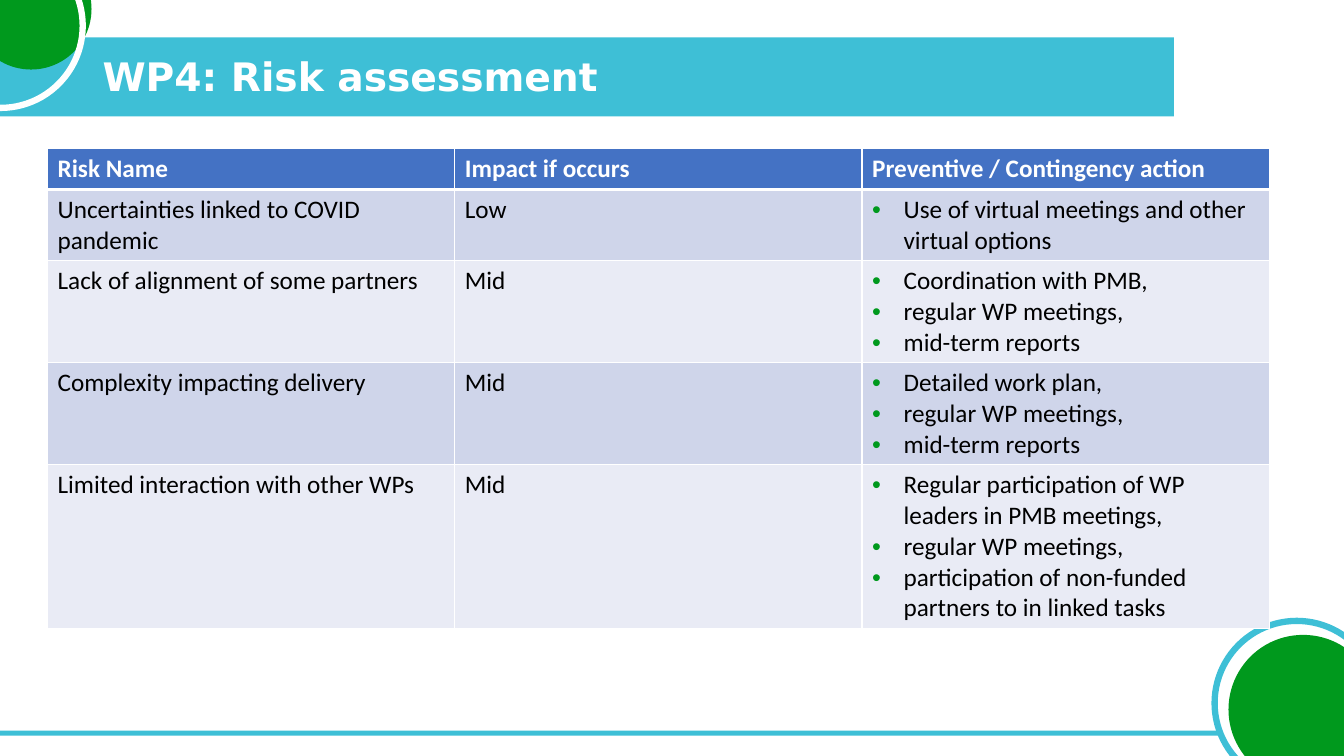
from dataclasses import dataclass

from lxml import etree
from pptx import Presentation
from pptx import util as u
from pptx.dml.color import RGBColor
from pptx.enum import shapes, text
from pptx.oxml import ns

Pt = u.Pt


@dataclass(frozen=True)
class Theme:
    """Colours, fonts and sizes of the deck."""
    teal: str = "3EBFD6"
    green: str = "00991D"
    white: str = "FFFFFF"
    ink: str = "000000"
    header: str = "4472C4"
    bands: tuple = ("CFD5EA", "E9EBF5")
    title_font: str = "DejaVu Sans"
    body_font: str = "Calibri"
    title_size: float = 28
    body_size: float = 18
    line_pitch: float = 21.9
    cell_padding: float = 7.2
    bullet_indent: float = 22.5
    ring_width: float = 4.5
    rule: float = 1
    header_rule: float = 3


def apply(target, values):
    """Set each attribute named in a dict of format values."""
    for name, value in values.items():
        setattr(target, name, value)


def add_xml(parent, tag, **attributes):
    """Append a DrawingML element and return it."""
    return etree.SubElement(parent, ns.qn(tag), attributes)


class SlideBuilder:
    """Draws styled elements on the current slide."""

    def __init__(self, slide, theme):
        """Keep the slide and its theme."""
        self.slide, self.theme = slide, theme

    def shape(self, preset, box, fill=None, line=None):
        """Add a preset shape with an optional fill or outline."""
        item = self.slide.shapes.add_shape(preset, *map(Pt, box))
        item.shadow.inherit = False
        if fill:
            item.fill.solid()
            item.fill.fore_color.rgb = RGBColor.from_string(fill)
        else:
            item.fill.background()
        if line:
            item.line.color.rgb = RGBColor.from_string(line)
            item.line.width = Pt(self.theme.ring_width)
        else:
            item.line.fill.background()

    def bar(self, box):
        """Add a teal band."""
        self.shape(shapes.MSO_SHAPE.RECTANGLE, box, self.theme.teal)

    def circle(self, left, top, size, **colours):
        """Add a disc or a ring."""
        self.shape(shapes.MSO_SHAPE.OVAL, (left, top, size, size), **colours)

    def styled_run(self, paragraph, words, font, size, colour, bold):
        """Put one formatted run in a paragraph."""
        run = paragraph.add_run()
        run.text = words
        apply(run.font, {"name": font, "size": Pt(size), "bold": bold})
        run.font.color.rgb = RGBColor.from_string(colour)

    def title(self, words, box):
        """Add the slide heading."""
        theme = self.theme
        frame = self.slide.shapes.add_textbox(*map(Pt, box)).text_frame
        apply(frame, {"word_wrap": True,
                      "vertical_anchor": text.MSO_ANCHOR.MIDDLE})
        heading = frame.paragraphs[0]
        heading.line_spacing = 0.9
        self.styled_run(heading, words, theme.title_font, theme.title_size,
                        theme.white, True)

    def bullet(self, paragraph):
        """Give a paragraph a green bullet and a hanging indent."""
        indent = Pt(self.theme.bullet_indent)
        properties = paragraph._p.get_or_add_pPr()
        properties.set("marL", str(indent))
        properties.set("indent", str(-indent))
        colour = add_xml(properties, "a:buClr")
        add_xml(colour, "a:srgbClr", val=self.theme.green)
        add_xml(properties, "a:buFont", typeface="Arial")
        add_xml(properties, "a:buChar", char="•")

    def borders(self, cell, top, bottom):
        """Draw white rules round a cell."""
        rule = self.theme.rule
        properties = cell._tc.get_or_add_tcPr()
        widths = {"a:lnL": rule, "a:lnR": rule, "a:lnT": top, "a:lnB": bottom}
        for tag, width in widths.items():
            line = add_xml(properties, tag, w=str(Pt(width)))
            fill = add_xml(line, "a:solidFill")
            add_xml(fill, "a:srgbClr", val=self.theme.white)

    def cell(self, cell, content, row):
        """Fill one cell; a list becomes bullets."""
        theme = self.theme
        is_header = row == 0
        self.borders(cell, theme.header_rule if row == 1 else theme.rule,
                     theme.header_rule if is_header else theme.rule)
        cell.fill.solid()
        cell.fill.fore_color.rgb = RGBColor.from_string(
            theme.header if is_header else theme.bands[(row - 1) % 2])
        bulleted = isinstance(content, list)
        for index, words in enumerate(content if bulleted else [content]):
            frame = cell.text_frame
            paragraph = frame.add_paragraph() if index else frame.paragraphs[0]
            if bulleted:
                self.bullet(paragraph)
            self.styled_run(paragraph, words, theme.body_font, theme.body_size,
                            theme.white if is_header else theme.ink, is_header)

    def table(self, rows, line_counts, left, top, width):
        """Add a table with equal columns and rows as tall as their lines."""
        theme = self.theme
        heights = [count * theme.line_pitch + theme.cell_padding
                   for count in line_counts]
        grid = self.slide.shapes.add_table(
            len(rows), len(rows[0]),
            *map(Pt, (left, top, width, sum(heights)))).table
        apply(grid, {"first_row": False, "horz_banding": False})
        for row, (contents, height) in enumerate(zip(rows, heights)):
            grid.rows[row].height = Pt(height)
            for column, content in enumerate(contents):
                self.cell(grid.cell(row, column), content, row)


RISKS = [
    ("Risk Name", "Impact if occurs", "Preventive / Contingency action"),
    ("Uncertainties linked to COVID pandemic", "Low",
     ["Use of virtual meetings and other virtual options"]),
    ("Lack of alignment of some partners", "Mid",
     ["Coordination with PMB,", "regular WP meetings,", "mid-term reports"]),
    ("Complexity impacting delivery", "Mid",
     ["Detailed work plan,", "regular WP meetings,", "mid-term reports"]),
    ("Limited interaction with other WPs", "Mid",
     ["Regular participation of WP leaders in PMB meetings,",
      "regular WP meetings,",
      "participation of non-funded partners to in linked tasks"]),
]
LINES_PER_ROW = (1, 2, 3, 3, 5)


def main():
    """Build the risk assessment slide."""
    deck = Presentation()
    apply(deck, {"slide_width": Pt(960), "slide_height": Pt(540)})
    theme = Theme()
    page = SlideBuilder(deck.slides.add_slide(deck.slide_layouts[6]), theme)
    page.bar((0, 26.8, 838.6, 56.4))
    page.bar((0, 521.8, 872.6, 3.6))
    page.circle(867.6, 443.5, 117.4, line=theme.teal)
    page.circle(877.5, 453.5, 106.6, fill=theme.green)
    page.circle(-21, -36.7, 86.4, fill=theme.green)
    page.circle(-58.3, -40.3, 117.4, line=theme.white)
    page.title("WP4: Risk assessment", (66.2, 36, 761.8, 40.3))
    page.table(RISKS, LINES_PER_ROW, 34, 106.2, 872.7)
    deck.save("out.pptx")


main()
